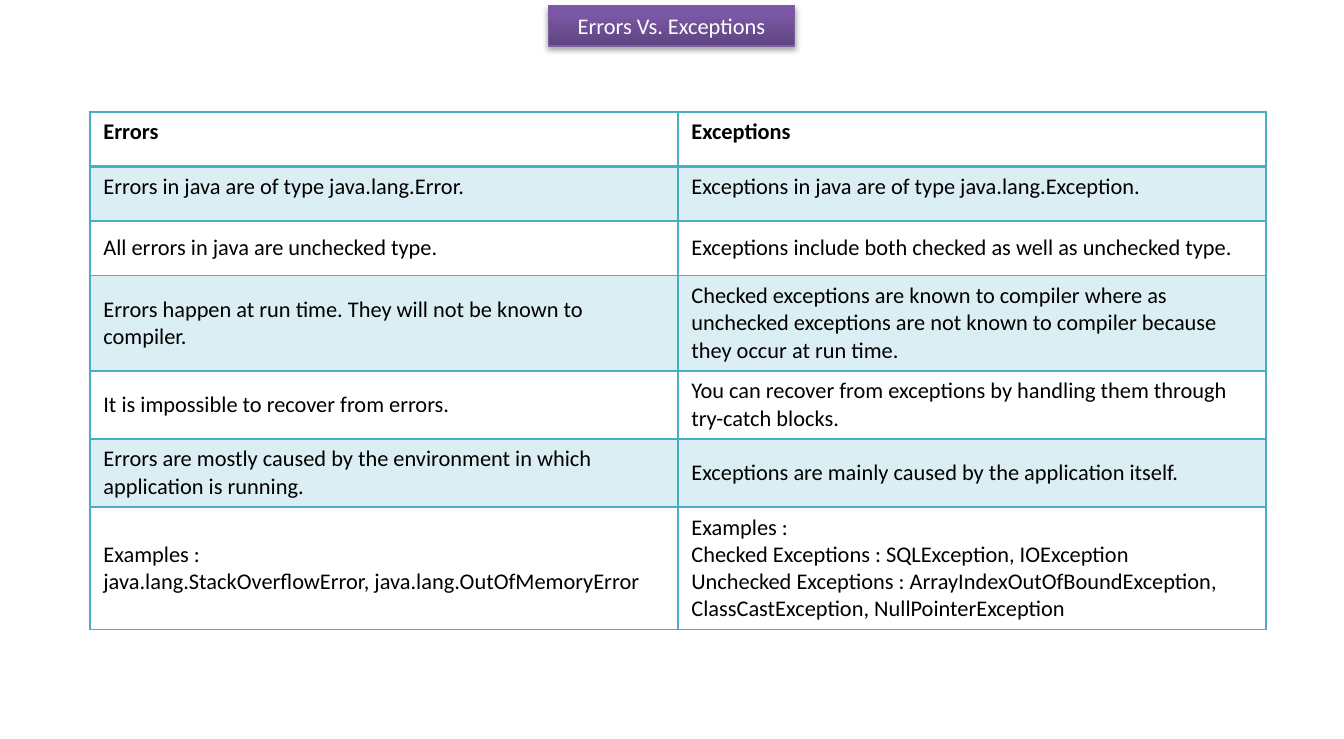
from lxml import etree
from pptx import Presentation
from pptx.dml.color import RGBColor
from pptx.enum.text import MSO_ANCHOR, PP_ALIGN
from pptx.oxml import parse_xml
from pptx.oxml.ns import nsdecls, qn
from pptx.util import Pt

MID, TOP = MSO_ANCHOR.MIDDLE, MSO_ANCHOR.TOP
CENTER = PP_ALIGN.CENTER
TEAL = "4BACC6"
ROWS = [
    ("Errors", "Exceptions"),
    ("Errors in java are of type java.lang.Error.",
     "Exceptions in java are of type java.lang.Exception."),
    ("All errors in java are unchecked type.",
     "Exceptions include both checked as well as unchecked type."),
    ("Errors happen at run time. They will not be known to compiler.",
     "Checked exceptions are known to compiler where as unchecked exceptions "
     "are not known to compiler because they occur at run time."),
    ("It is impossible to recover from errors.",
     "You can recover from exceptions by handling them through try-catch blocks."),
    ("Errors are mostly caused by the environment in which application is running.",
     "Exceptions are mainly caused by the application itself."),
    ("Examples :\njava.lang.StackOverflowError, java.lang.OutOfMemoryError",
     "Examples :\nChecked Exceptions : SQLException, IOException\n"
     "Unchecked Exceptions : ArrayIndexOutOfBoundException, "
     "ClassCastException, NullPointerException"),
]


def color(code):
    return RGBColor.from_string(code)


def write(para, text, code, bold=False):
    para.text = text
    font = para.font
    font.name, font.size, font.bold = "Calibri", Pt(12), bold
    font.color.rgb = color(code)


deck = Presentation()
deck.slide_width, deck.slide_height = Pt(720), Pt(396)
slide = deck.slides.add_slide(deck.slide_layouts[5])

title = slide.shapes.title
title.left, title.top, title.width, title.height = Pt(293.75), Pt(2.9), Pt(132), Pt(21.8)
title.text_frame.vertical_anchor = MID
head = title.text_frame.paragraphs[0]
write(head, "Errors Vs. Exceptions", "FFFFFF")
head.alignment = CENTER
stops = "".join(
    f'<a:gs pos="{pos * 1000}"><a:srgbClr val="{code}"/></a:gs>'
    for pos, code in [(0, "5F4480"), (80, "7B58A6"), (100, "7C57A8")])
props = title.element.spPr
props.append(parse_xml(
    f'<a:prstGeom {nsdecls("a")} prst="rect"><a:avLst/></a:prstGeom>'))
props.append(parse_xml(
    f'<a:gradFill {nsdecls("a")} rotWithShape="1"><a:gsLst>{stops}</a:gsLst>'
    '<a:lin ang="16200000" scaled="0"/></a:gradFill>'))
title.line.color.rgb = color("7D60A0")
title.line.width = Pt(0.75)
props.append(parse_xml(
    f'<a:effectLst {nsdecls("a")}><a:outerShdw blurRad="{Pt(3.1)}" dist="{Pt(1.8)}" '
    'dir="5400000" rotWithShape="0"><a:srgbClr val="000000"><a:alpha val="35000"/>'
    '</a:srgbClr></a:outerShdw></a:effectLst>'))

table = slide.shapes.add_table(
    len(ROWS), 2, Pt(48.2), Pt(60), Pt(630), Pt(29.2 * len(ROWS))).table
table.horz_banding = False
for row, texts in enumerate(ROWS):
    for col, text in enumerate(texts):
        cell = table.cell(row, col)
        cell.vertical_anchor = MID if row > 1 else TOP
        write(cell.text_frame.paragraphs[0], text, "000000", row == 0)
        look = cell._tc.get_or_add_tcPr()
        for side in "LRTB":
            thick = (row, side) in [(0, "B"), (1, "T")]
            look.append(parse_xml(
                f'<a:ln{side} {nsdecls("a")} w="{Pt(2 if thick else 1)}"><a:solidFill>'
                f'<a:srgbClr val="{TEAL}"/></a:solidFill></a:ln{side}>'))
        if row % 2:
            cell.fill.solid()
            cell.fill.fore_color.rgb = color(TEAL)
            tint = look.find(qn("a:solidFill")).find(qn("a:srgbClr"))
            etree.SubElement(tint, qn("a:alpha")).set("val", "20000")
        else:
            cell.fill.background()

deck.save("out.pptx")
